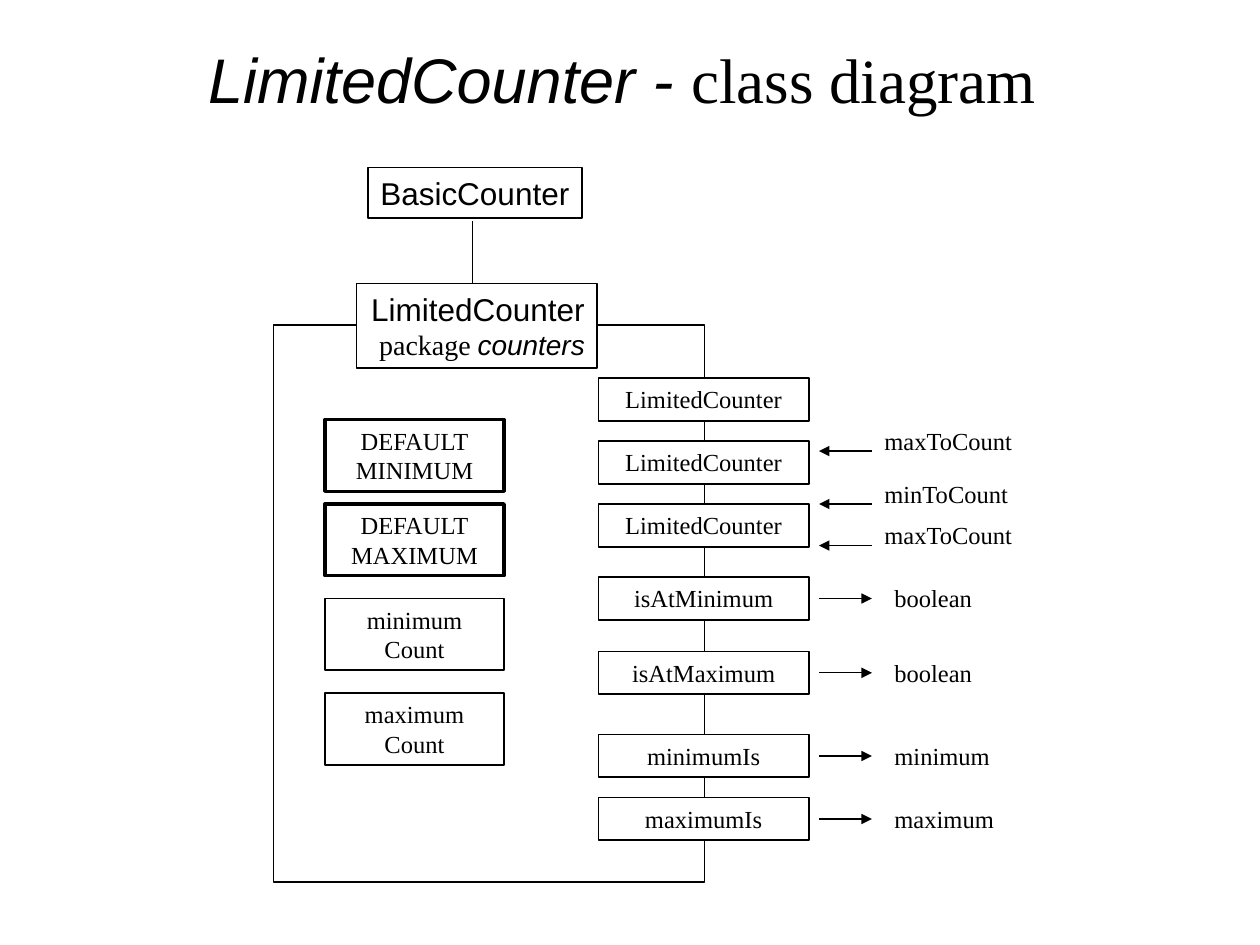
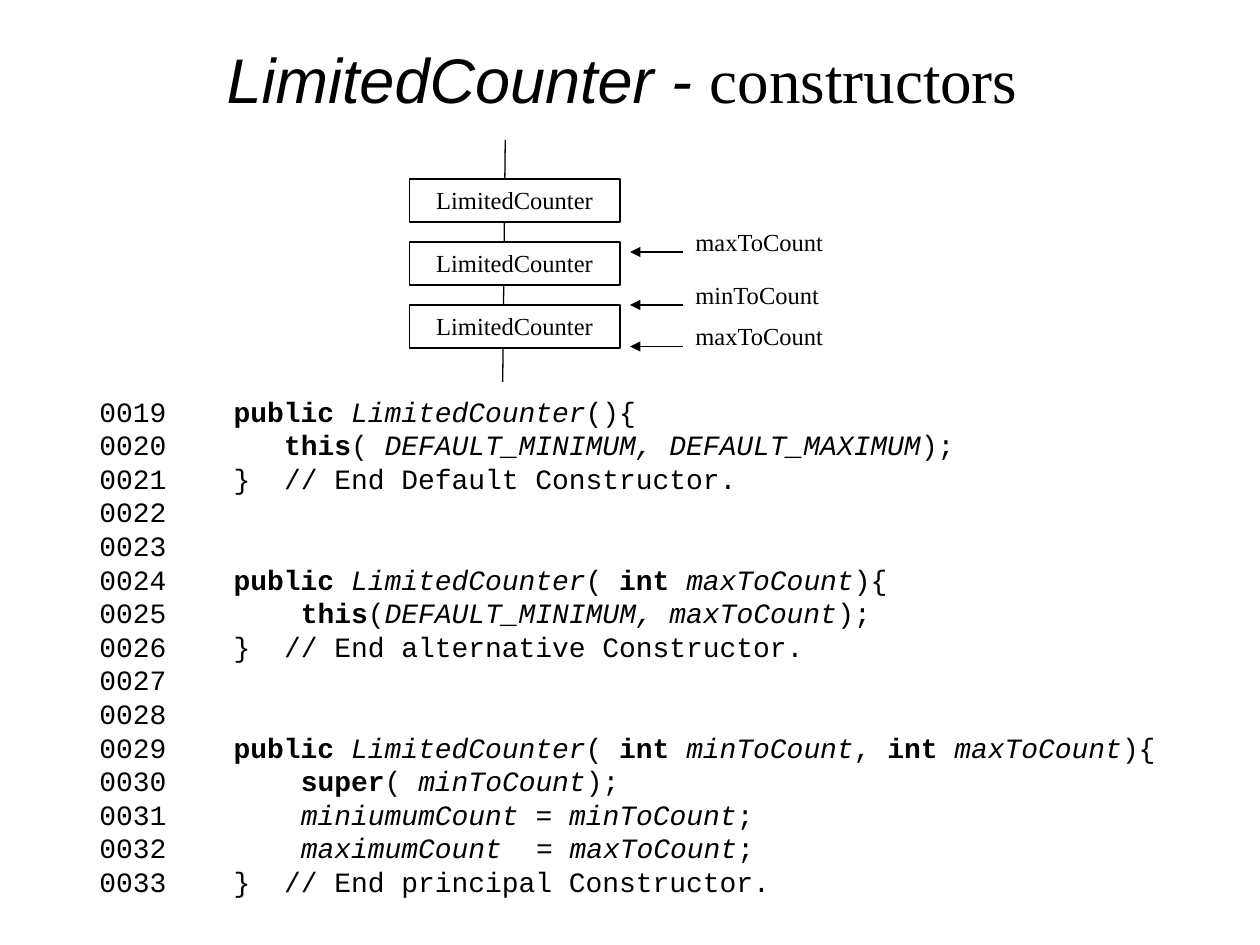
import pptx
import pptx.util
import pptx.dml.color
import pptx.enum.shapes
import pptx.enum.text
import pptx.oxml
import pptx.oxml.ns
from pptx.util import Inches, Pt

BLACK = pptx.dml.color.RGBColor(0x00, 0x00, 0x00)
WHITE = pptx.dml.color.RGBColor(0xFF, 0xFF, 0xFF)
SANS, SERIF, MONO = "Arial", "Times New Roman", "Courier New"
LEFT, CENTER, RIGHT = (pptx.enum.text.PP_ALIGN.LEFT,
                       pptx.enum.text.PP_ALIGN.CENTER,
                       pptx.enum.text.PP_ALIGN.RIGHT)
FIT = pptx.enum.text.MSO_AUTO_SIZE.SHAPE_TO_FIT_TEXT
TITLE_ONLY = 5
METHOD_WIDTH, METHOD_HEIGHT = 1.67, 0.34
ARROW_NEAR, ARROW_FAR = 1.75, 2.17  # from the left of a method box
CODE_CHAR = 2 / 15  # width in inches of one character of code

# Each line: number, columns of its tab stops, spans of (text, style)
CODE = [
    ("0019", [8], [("public ", "b"), ("LimitedCounter", "i"), ("(){", "")]),
    ("0020", [11], [("this", "b"), ("( ", ""),
                    ("DEFAULT_MINIMUM, DEFAULT_MAXIMUM", "i"), (");", "")]),
    ("0021", [8, 11], [("}\t// End Default Constructor.", "")]),
    ("0022", [], []),
    ("0023", [], []),
    ("0024", [8], [("public ", "b"), ("LimitedCounter", "i"), ("( ", ""),
                   ("int ", "b"), ("maxToCount", "i"), ("){", "")]),
    ("0025", [12], [("this", "b"), ("(", ""),
                    ("DEFAULT_MINIMUM, maxToCount", "i"), (");", "")]),
    ("0026", [8, 11], [("}\t// End alternative Constructor.", "")]),
    ("0027", [], []),
    ("0028", [], []),
    ("0029", [8], [("public ", "b"), ("LimitedCounter", "i"), ("( ", ""),
                   ("int ", "b"), ("minToCount", "i"), (", ", ""),
                   ("int ", "b"), ("maxToCount", "i"), ("){", "")]),
    ("0030", [12], [("super", "b"), ("( ", ""), ("minToCount", "i"), (");", "")]),
    ("0031", [12], [("miniumumCount", "i"), (" = ", ""),
                    ("minToCount", "i"), (";", "")]),
    ("0032", [12, 26], [("maximumCount", "i"), ("\t= ", ""),
                        ("maxToCount", "i"), (";", "")]),
    ("0033", [8, 11], [("}\t// End principal Constructor.", "")]),
]


def add_span(para, text, font=SERIF, size=14, style=""):
    span = para.add_run()
    span.text = text
    span.font.name = font
    span.font.size = Pt(size)
    span.font.color.rgb = BLACK
    span.font.bold = "b" in style
    span.font.italic = "i" in style


def add_box(page, left, top, width, height, line=1, fill=WHITE, align=CENTER):
    """Add an outlined rectangle and return its first paragraph."""
    box = page.shapes.add_shape(pptx.enum.shapes.MSO_SHAPE.RECTANGLE,
                                Inches(left), Inches(top),
                                Inches(width), Inches(height))
    box.shadow.inherit = False
    if fill is None:
        box.fill.background()
    else:
        box.fill.solid()
        box.fill.fore_color.rgb = fill
    box.line.color.rgb = BLACK
    box.line.width = Pt(line)
    box.text_frame.word_wrap = True
    box.text_frame.vertical_anchor = pptx.enum.text.MSO_ANCHOR.TOP
    para = box.text_frame.paragraphs[0]
    para.alignment = align
    return para


def add_label(page, text, left, top, width):
    box = page.shapes.add_textbox(Inches(left), Inches(top),
                                  Inches(width), Inches(METHOD_HEIGHT))
    box.text_frame.word_wrap = False
    box.text_frame.auto_size = pptx.enum.text.MSO_AUTO_SIZE.NONE
    add_span(box.text_frame.paragraphs[0], text)


def add_line(page, start, end, arrow=False):
    line = page.shapes.add_connector(pptx.enum.shapes.MSO_CONNECTOR.STRAIGHT,
                                     *(Inches(value) for value in (*start, *end)))
    line.line.color.rgb = BLACK
    line.line.width = Pt(0.75)
    if arrow:
        head = pptx.oxml.parse_xml(
            '<a:tailEnd %s type="triangle"/>' % pptx.oxml.ns.nsdecls("a"))
        line.line._get_or_add_ln().append(head)
    line._element.spPr.append(
        pptx.oxml.parse_xml("<a:effectLst %s/>" % pptx.oxml.ns.nsdecls("a")))


def add_title(page, topic):
    title = page.shapes.title
    title.left, title.top = Inches(0), Inches(0)
    title.width, title.height = Inches(10), Inches(1.25)
    frame = title.text_frame
    frame.auto_size = pptx.enum.text.MSO_AUTO_SIZE.NONE
    frame.vertical_anchor = pptx.enum.text.MSO_ANCHOR.MIDDLE
    para = frame.paragraphs[0]
    para.alignment = CENTER
    add_span(para, "LimitedCounter - ", SANS, 36, "i")
    add_span(para, topic + " ", SERIF, 36)


def add_method(page, name, left, top):
    add_span(add_box(page, left, top, METHOD_WIDTH, METHOD_HEIGHT), name)


def add_constructors(page, left, top):
    """Three constructors with the arguments that go into them."""
    for row in range(3):
        add_method(page, "LimitedCounter", left, top + 0.5 * row)
    for name, drop, width in [("maxToCount", 0.58, 1.24),
                              ("minToCount", 1, 1.2),
                              ("maxToCount", 1.33, 1.24)]:
        add_line(page, (left + ARROW_FAR, top + drop),
                 (left + ARROW_NEAR, top + drop), arrow=True)
        add_label(page, name, left + ARROW_FAR, top + drop - 0.25, width)


def add_inquiries(page, left, top):
    """Methods with the values that come out of them."""
    for name, result, drop, width in [("isAtMinimum", "boolean", 0, 0.84),
                                      ("isAtMaximum", "boolean", 0.59, 0.84),
                                      ("minimumIs", "minimum", 1.25, 0.98),
                                      ("maximumIs", "maximum", 1.75, 1.01)]:
        row = top + drop
        add_method(page, name, left, row)
        add_line(page, (left + ARROW_NEAR, row + 0.17),
                 (left + ARROW_FAR, row + 0.17), arrow=True)
        add_label(page, result, left + 2.25, row, width)


def add_attributes(page, left, top):
    """Data attributes; constants have a thick outline."""
    for first, second, drop, line in [("DEFAULT", "MINIMUM", 0, 2),
                                      ("DEFAULT", "MAXIMUM", 0.67, 2),
                                      ("minimum", "Count", 1.42, 1),
                                      ("maximum", "Count", 2.17, 1)]:
        para = add_box(page, left, top + drop, 1.42, 0.57, line)
        add_span(para, first)
        para.add_line_break()
        add_span(para, second)


def add_class_frame(page, left, top):
    """Class outline, its name box and its parent class."""
    add_box(page, left, top, 3.42, 4.42, 0.75, fill=None)
    parent = add_box(page, left + 0.75, top - 1.25, 1.7, 0.4,
                     fill=None, align=LEFT)
    add_span(parent, "BasicCounter", SANS, 18)
    name = add_box(page, left + 0.66, top - 0.33, 1.91, 0.67, align=RIGHT)
    add_span(name, "LimitedCounter", SANS, 18)
    name.add_line_break()
    add_span(name, "package ", SERIF, 16)
    add_span(name, "counters", SANS, 16, "i")
    add_line(page, (left + 1.58, top - 0.33), (left + 1.58, top - 0.83))


def add_code(page, left, top, width, height):
    box = page.shapes.add_textbox(Inches(left), Inches(top),
                                  Inches(width), Inches(height))
    frame = box.text_frame
    frame.word_wrap = True
    frame.auto_size = FIT
    for index, (number, columns, spans) in enumerate(CODE):
        para = frame.add_paragraph() if index else frame.paragraphs[0]
        if columns:
            stops = "".join('<a:tab pos="%d" algn="l"/>' % Inches(column * CODE_CHAR)
                            for column in columns)
            para._p.get_or_add_pPr().append(pptx.oxml.parse_xml(
                "<a:tabLst %s>%s</a:tabLst>" % (pptx.oxml.ns.nsdecls("a"), stops)))
            number += "\t"
        for text, style in [(number, "")] + spans:
            add_span(para, text, MONO, 16, style)


def add_page(deck, topic):
    page = deck.slides.add_slide(deck.slide_layouts[TITLE_ONLY])
    add_title(page, topic)
    return page


def build_class_diagram(deck):
    page = add_page(deck, "class diagram")
    add_class_frame(page, 2.17, 2.58)
    add_attributes(page, 2.58, 3.33)
    add_constructors(page, 4.75, 3)
    add_inquiries(page, 4.75, 4.58)


def build_constructors(deck):
    page = add_page(deck, "constructors")
    add_line(page, (4.01, 1.11), (3.99, 3.03))
    add_constructors(page, 3.25, 1.42)
    add_code(page, 0.69, 3.08, 8.71, 4.1)


def main():
    deck = pptx.Presentation()
    deck.slide_width, deck.slide_height = Inches(10), Inches(7.5)
    build_class_diagram(deck)
    build_constructors(deck)
    deck.save("out.pptx")


if __name__ == "__main__":
    main()
